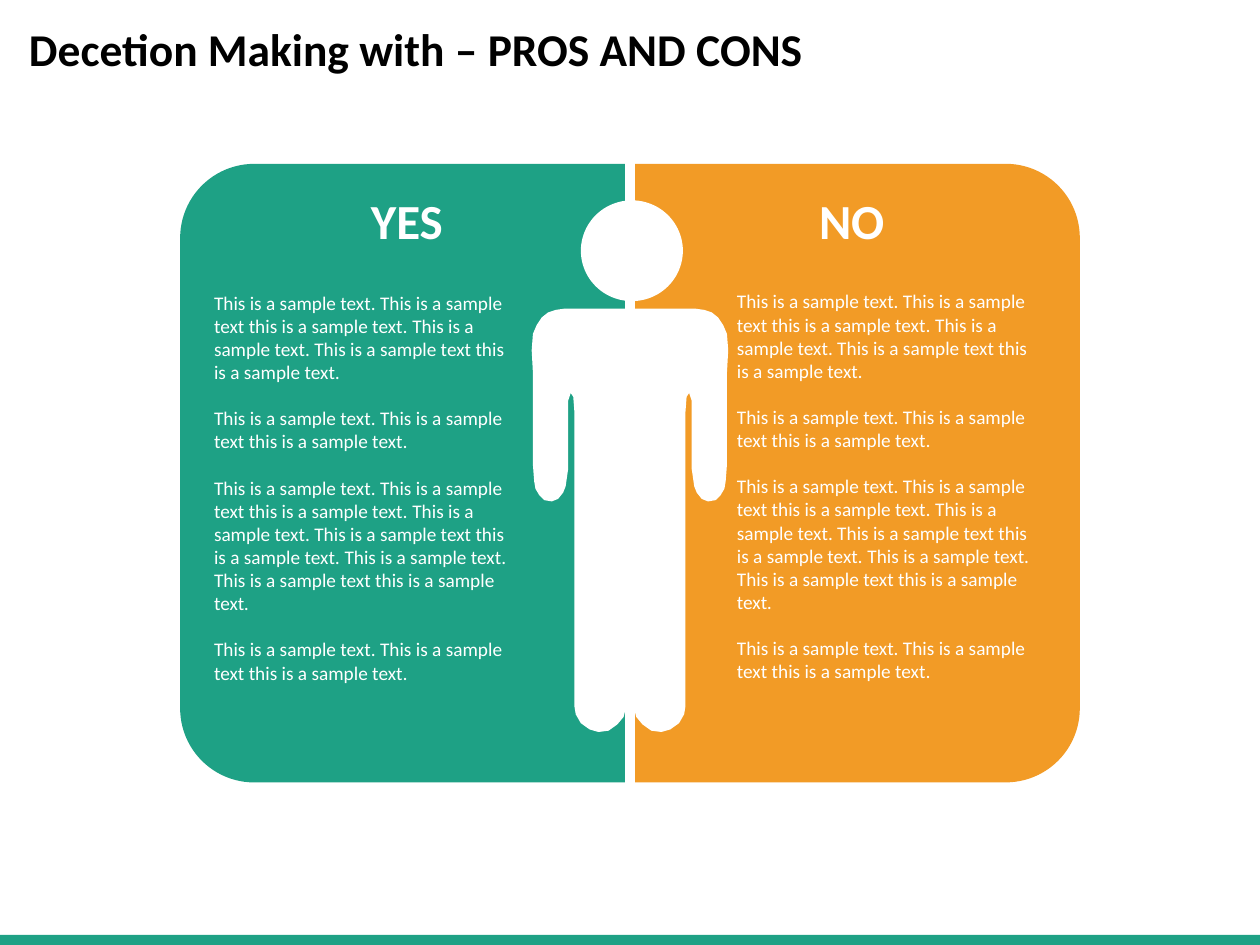
from dataclasses import dataclass

from pptx import Presentation
from pptx.dml.color import RGBColor
from pptx.enum import shapes, text
from pptx.util import Inches, Pt

GREEN = RGBColor(0x1E, 0xA1, 0x85)
ORANGE = RGBColor(0xF2, 0x9B, 0x26)
WHITE = RGBColor(0xFF, 0xFF, 0xFF)
BLACK = RGBColor(0, 0, 0)
FONT = "Calibri"

SENTENCE = "This is a sample text. This is a sample text this is a sample text"
SENTENCES_PER_PARAGRAPH = (2, 1, 3, 1)

CENTER_X = 5.0
# Left half of the person's body, from the neck down to the gap between the legs.
HALF_BODY = [
    (5.0, 2.45), (4.48, 2.45), (4.41, 2.46), (4.35, 2.48), (4.3, 2.52),
    (4.26, 2.58), (4.23, 2.65), (4.22, 2.78), (4.23, 2.96), (4.23, 3.69),
    (4.24, 3.82), (4.25, 3.88), (4.28, 3.93), (4.32, 3.97), (4.38, 3.98),
    (4.43, 3.96), (4.47, 3.91), (4.49, 3.86), (4.51, 3.72), (4.51, 3.18),
    (4.53, 3.12), (4.55, 3.15), (4.56, 3.28), (4.56, 5.61), (4.57, 5.67),
    (4.61, 5.74), (4.68, 5.79), (4.75, 5.81), (4.83, 5.8), (4.9, 5.75),
    (4.95, 5.69), (4.97, 5.61), (4.97, 4.48), (4.98, 4.41), (5.0, 4.4),
]


@dataclass
class Side:
    heading: str
    color: RGBColor
    panel_left: float
    rotation: int
    heading_left: float
    text_left: float
    text_top: float


SIDES = [
    Side("YES", GREEN, 0.74, 270, 2.45, 1.6, 2.26),
    Side("NO", ORANGE, 4.35, 90, 5.98, 5.75, 2.25),
]


def paint(shape, color: RGBColor) -> None:
    shape.fill.solid()
    shape.fill.fore_color.rgb = color
    shape.line.fill.background()
    shape.shadow.inherit = False


def add_filled(slide, kind, left: float, top: float, width: float,
               height: float, color: RGBColor):
    shape = slide.shapes.add_shape(
        kind, Inches(left), Inches(top), Inches(width), Inches(height))
    paint(shape, color)
    return shape


def style(paragraph, size: int, color: RGBColor, bold: bool = False) -> None:
    font = paragraph.font
    font.name, font.size, font.bold = FONT, Pt(size), bold
    font.color.rgb = color


def add_text_frame(slide, left: float, top: float, width: float, height: float):
    box = slide.shapes.add_textbox(
        Inches(left), Inches(top), Inches(width), Inches(height))
    box.text_frame.word_wrap = True
    return box.text_frame


def add_panel(slide, side: Side) -> None:
    panel = add_filled(slide, shapes.MSO_SHAPE.ROUND_2_SAME_RECTANGLE,
                       side.panel_left, 1.99, 4.91, 3.53, side.color)
    panel.rotation = side.rotation


def add_person(slide) -> None:
    add_filled(slide, shapes.MSO_SHAPE.OVAL, 4.61, 1.59, 0.81, 0.8, WHITE)
    mirrored = [(2 * CENTER_X - x, y) for x, y in reversed(HALF_BODY)]
    points = [(Inches(x), Inches(y)) for x, y in HALF_BODY + mirrored]
    builder = slide.shapes.build_freeform(*points[0])
    builder.add_line_segments(points[1:], close=True)
    paint(builder.convert_to_shape(), WHITE)


def add_heading(slide, side: Side) -> None:
    para = add_text_frame(slide, side.heading_left, 1.46, 1.56, 0.57).paragraphs[0]
    para.text = side.heading
    para.alignment = text.PP_ALIGN.CENTER
    style(para, 28, WHITE, bold=True)


def add_arguments(slide, side: Side) -> None:
    frame = add_text_frame(slide, side.text_left, side.text_top, 2.62, 3.62)
    for index, count in enumerate(SENTENCES_PER_PARAGRAPH):
        para = frame.add_paragraph() if index else frame.paragraphs[0]
        style(para, 11, WHITE)
        para.space_after = Pt(13.2)
        for number in range(1, count + 1):
            para.add_run().text = SENTENCE
            stop = para.add_run()
            stop.text = "." if number == count else ". "
            stop.font.italic = True


def add_title(slide) -> None:
    title = slide.shapes.title
    title.left, title.top = Inches(0.13), Inches(0.17)
    title.width, title.height = Inches(8.62), Inches(0.48)
    frame = title.text_frame
    frame.auto_size = text.MSO_AUTO_SIZE.NONE
    frame.vertical_anchor = text.MSO_ANCHOR.MIDDLE
    para = frame.paragraphs[0]
    para.text = "Decetion Making with – PROS AND CONS"
    para.alignment = text.PP_ALIGN.LEFT
    para.line_spacing = 0.9
    style(para, 26, BLACK, bold=True)


def main() -> None:
    deck = Presentation()
    deck.slide_width, deck.slide_height = Inches(10), Inches(7.5)
    slide = deck.slides.add_slide(deck.slide_layouts.get_by_name("Title Only"))
    add_title(slide)
    add_filled(slide, shapes.MSO_SHAPE.RECTANGLE, 0, 7.42, 10, 0.08, GREEN)
    for side in SIDES:
        add_panel(slide, side)
    add_person(slide)
    for side in SIDES:
        add_heading(slide, side)
    for side in SIDES:
        add_arguments(slide, side)
    deck.save("out.pptx")


if __name__ == "__main__":
    main()
